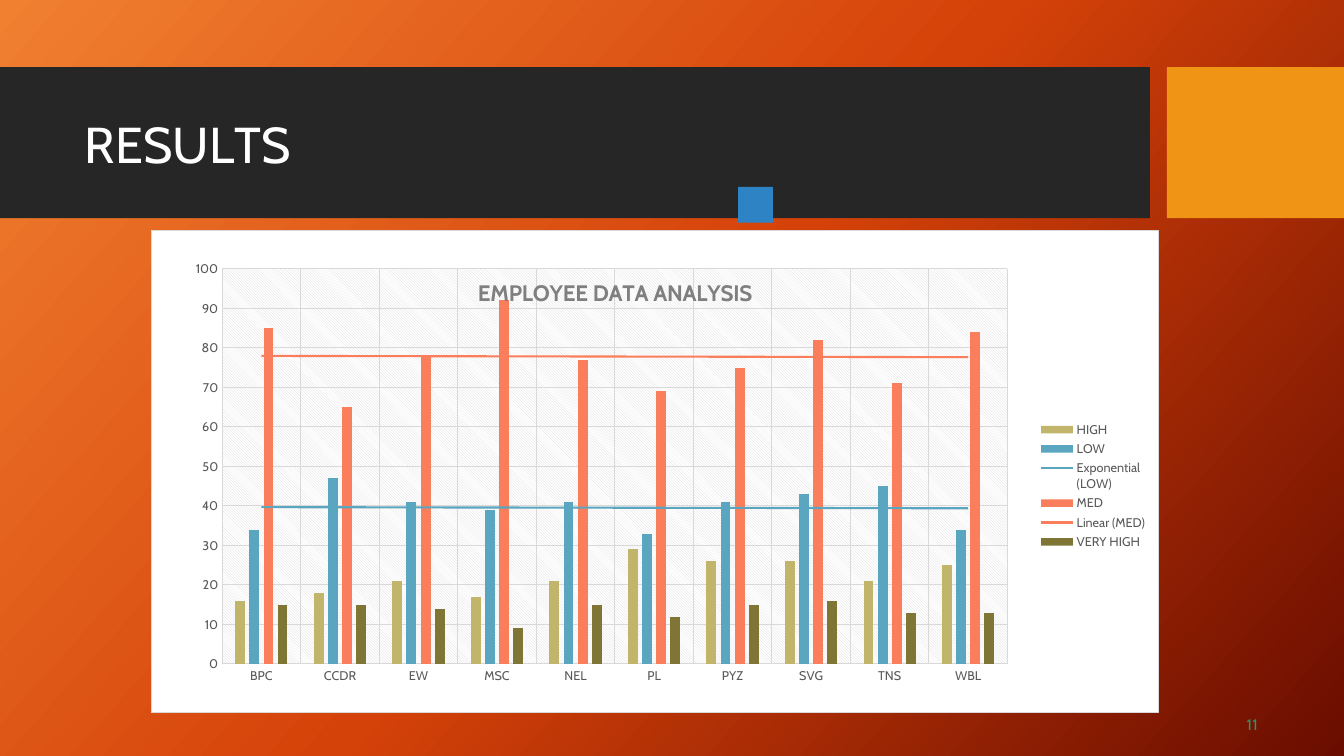
from dataclasses import dataclass

from lxml.etree import fromstring
from pptx import Presentation
from pptx.chart.data import CategoryChartData
from pptx.dml.color import RGBColor
from pptx.enum.chart import XL_CHART_TYPE, XL_LEGEND_POSITION, XL_TICK_MARK
from pptx.enum.shapes import MSO_SHAPE
from pptx.enum.text import MSO_ANCHOR, MSO_AUTO_SIZE, PP_ALIGN
from pptx.oxml.ns import nsdecls, qn
from pptx.util import Cm, Pt

FONT = "Cabin"
GRID_COLOR = "D9D9D9"
LABEL_COLOR = "595959"


@dataclass(frozen=True)
class Block:
    left: float
    top: float
    width: float
    height: float
    color: str


@dataclass(frozen=True)
class Rating:
    name: str
    color: str
    values: tuple[int, ...]
    trend: str = ""


BLOCKS = (
    Block(0, 1.69, 28.98, 3.81, "262626"),
    Block(29.41, 1.69, 4.46, 3.81, "F09415"),
    Block(18.6, 4.71, 0.88, 0.9, "2D83C3"),
)
TEAMS = ("BPC", "CCDR", "EW", "MSC", "NEL", "PL", "PYZ", "SVG", "TNS", "WBL")
RATINGS = (
    Rating("HIGH", "C1B56B", (16, 18, 21, 17, 21, 29, 26, 26, 21, 25)),
    Rating("LOW", "5AA6C0", (34, 47, 41, 39, 41, 33, 41, 43, 45, 34), "exp"),
    Rating("MED", "FA7E5C", (85, 65, 78, 92, 77, 69, 75, 82, 71, 84), "linear"),
    Rating("VERY HIGH", "7F7535", (15, 15, 14, 9, 15, 12, 15, 16, 13, 13)),
)
# Title letters with their spacing in hundredths of a point
TITLE_LETTERS = (("R", 0), ("E", -40), ("S", 10), ("U", -30), ("L", -400), ("TS", 0))
BACKGROUND_STOPS = ((0, "F18031"), (50, "D54209"), (100, "6A0D00"))


def rgb(color: str) -> RGBColor:
    return RGBColor.from_string(color)


def format_font(font, *, size: float, color: str, bold: bool = False) -> None:
    font.name = FONT
    font.size = Pt(size)
    font.bold = bold
    font.color.rgb = rgb(color)


def paint_background(slide) -> None:
    fill = slide.background.fill
    fill.gradient()
    fill.gradient_angle = 318
    stop_list = slide.element.find(".//" + qn("a:gsLst"))
    for stop in list(stop_list):
        stop_list.remove(stop)
    for percent, color in BACKGROUND_STOPS:
        stop_list.append(fromstring(
            f'<a:gs {nsdecls("a")} pos="{percent * 1000}"><a:srgbClr val="{color}"/></a:gs>'))


def add_block(slide, block: Block):
    shape = slide.shapes.add_shape(
        MSO_SHAPE.RECTANGLE, Cm(block.left), Cm(block.top), Cm(block.width), Cm(block.height))
    shape.shadow.inherit = False
    shape.fill.solid()
    shape.fill.fore_color.rgb = rgb(block.color)
    shape.line.fill.background()
    return shape


def write_text(shape, letters, *, size: float, color: str, left_inset: float = 0,
               space_before: float = 0, anchor=MSO_ANCHOR.TOP) -> None:
    """Fill a shape with one left-aligned paragraph of (text, spacing) runs."""
    frame = shape.text_frame
    frame.word_wrap = True
    frame.auto_size = MSO_AUTO_SIZE.SHAPE_TO_FIT_TEXT
    frame.vertical_anchor = anchor
    frame.margin_left, frame.margin_top = Cm(left_inset), Cm(0.03)
    frame.margin_right = frame.margin_bottom = 0
    paragraph = frame.paragraphs[0]
    paragraph.alignment = PP_ALIGN.LEFT
    paragraph.space_before = Pt(space_before)
    for text, spacing in letters:
        run = paragraph.add_run()
        run.text = text
        format_font(run.font, size=size, color=color)
        run._r.get_or_add_rPr().set("spc", str(spacing))


def place_chart_part(part, index: int, *, inner: bool = False, **position: float) -> None:
    """Give a chart part a manual layout in fractions of the chart."""
    for layout in part.findall(qn("c:layout")):
        part.remove(layout)
    target = '<c:layoutTarget val="inner"/>' if inner else ""
    modes = '<c:xMode val="edge"/><c:yMode val="edge"/>'
    sizes = "".join(f'<c:{key} val="{value}"/>' for key, value in position.items())
    part.insert(index, fromstring(
        f'<c:layout {nsdecls("c")}><c:manualLayout>{target}{modes}{sizes}'
        "</c:manualLayout></c:layout>"))


def line_xml(color: str, width: float) -> str:
    return (f'<a:ln w="{Pt(width)}"><a:solidFill><a:srgbClr val="{color}"/>'
            "</a:solidFill></a:ln>")


def properties_xml(content: str):
    return fromstring(f'<c:spPr {nsdecls("c", "a")}>{content}</c:spPr>')


def add_trend_line(series, rating: Rating) -> None:
    trend = fromstring(
        f'<c:trendline {nsdecls("c")}><c:trendlineType val="{rating.trend}"/>'
        '<c:dispRSqr val="0"/><c:dispEq val="0"/></c:trendline>')
    trend.insert(0, properties_xml(line_xml(rating.color, 1.5)))
    series._element.find(qn("c:cat")).addprevious(trend)


def format_axis(axis) -> None:
    axis.major_tick_mark = axis.minor_tick_mark = XL_TICK_MARK.NONE
    axis.has_major_gridlines = True
    for line in (axis.format.line, axis.major_gridlines.format.line):
        line.color.rgb = rgb(GRID_COLOR)
        line.width = Pt(0.75)
    format_font(axis.tick_labels.font, size=9, color=LABEL_COLOR)


def add_ratings_chart(slide) -> None:
    data = CategoryChartData()
    data.categories = TEAMS
    for rating in RATINGS:
        data.add_series(rating.name, rating.values)
    chart = slide.shapes.add_chart(
        XL_CHART_TYPE.COLUMN_CLUSTERED, Cm(3.81), Cm(5.79), Cm(25.4), Cm(12.17), data).chart
    format_font(chart.font, size=10, color=LABEL_COLOR)

    plot = chart.plots[0]
    plot.gap_width, plot.overlap, plot.vary_by_categories = 267, -43, False
    for series, rating in zip(plot.series, RATINGS):
        series.format.fill.solid()
        series.format.fill.fore_color.rgb = rgb(rating.color)
        if rating.trend:
            add_trend_line(series, rating)

    format_axis(chart.category_axis)
    format_axis(chart.value_axis)
    chart.value_axis.format.line.fill.background()
    chart.value_axis.minimum_scale, chart.value_axis.maximum_scale = 0, 100
    chart.value_axis.major_unit = 10

    chart.has_title = True
    title = chart.chart_title
    title.include_in_layout = True
    run = title.text_frame.paragraphs[0].add_run()
    run.text = "EMPLOYEE DATA ANALYSIS"
    format_font(run.font, size=16, color="7F7F7F", bold=True)
    place_chart_part(title._element, 1, x=0.32, y=0.09)

    chart.has_legend = True
    chart.legend.position = XL_LEGEND_POSITION.RIGHT
    chart.legend.include_in_layout = False
    format_font(chart.legend.font, size=9, color=LABEL_COLOR)
    place_chart_part(chart.legend._element, 1, x=0.88, y=0.39, w=0.11, h=0.28)

    chart_part = chart.element.find(qn("c:chart"))
    plot_area = chart_part.find(qn("c:plotArea"))
    place_chart_part(plot_area, 0, inner=True, x=0.07, y=0.08, w=0.78, h=0.82)
    plot_area.append(properties_xml(
        f'<a:pattFill prst="ltDnDiag"><a:fgClr><a:srgbClr val="{GRID_COLOR}"/></a:fgClr>'
        '<a:bgClr><a:srgbClr val="FFFFFF"/></a:bgClr></a:pattFill>'))
    chart_part.addnext(properties_xml(
        '<a:solidFill><a:srgbClr val="FFFFFF"/></a:solidFill>' + line_xml(GRID_COLOR, 0.75)))


def main() -> None:
    presentation = Presentation()
    presentation.slide_width, presentation.slide_height = Cm(33.87), Cm(19.05)
    slide = presentation.slides.add_slide(presentation.slide_layouts[5])
    paint_background(slide)
    blocks = [add_block(slide, block) for block in BLOCKS]

    title = slide.shapes.title
    title.left, title.top, title.width, title.height = Cm(2.11), Cm(2.54), Cm(6.78), Cm(2.11)
    write_text(title, TITLE_LETTERS, size=36, color="FFFFFF", left_inset=0.03,
               space_before=1.1, anchor=MSO_ANCHOR.MIDDLE)
    blocks[-1].element.addnext(title.element)

    page_number = slide.shapes.add_textbox(Cm(31.32), Cm(17.98), Cm(0.64), Cm(0.53))
    write_text(page_number, (("11", 10),), size=11, color="2D936B", left_inset=0.1,
               space_before=0.6)
    add_ratings_chart(slide)
    presentation.save("out.pptx")


if __name__ == "__main__":
    main()
